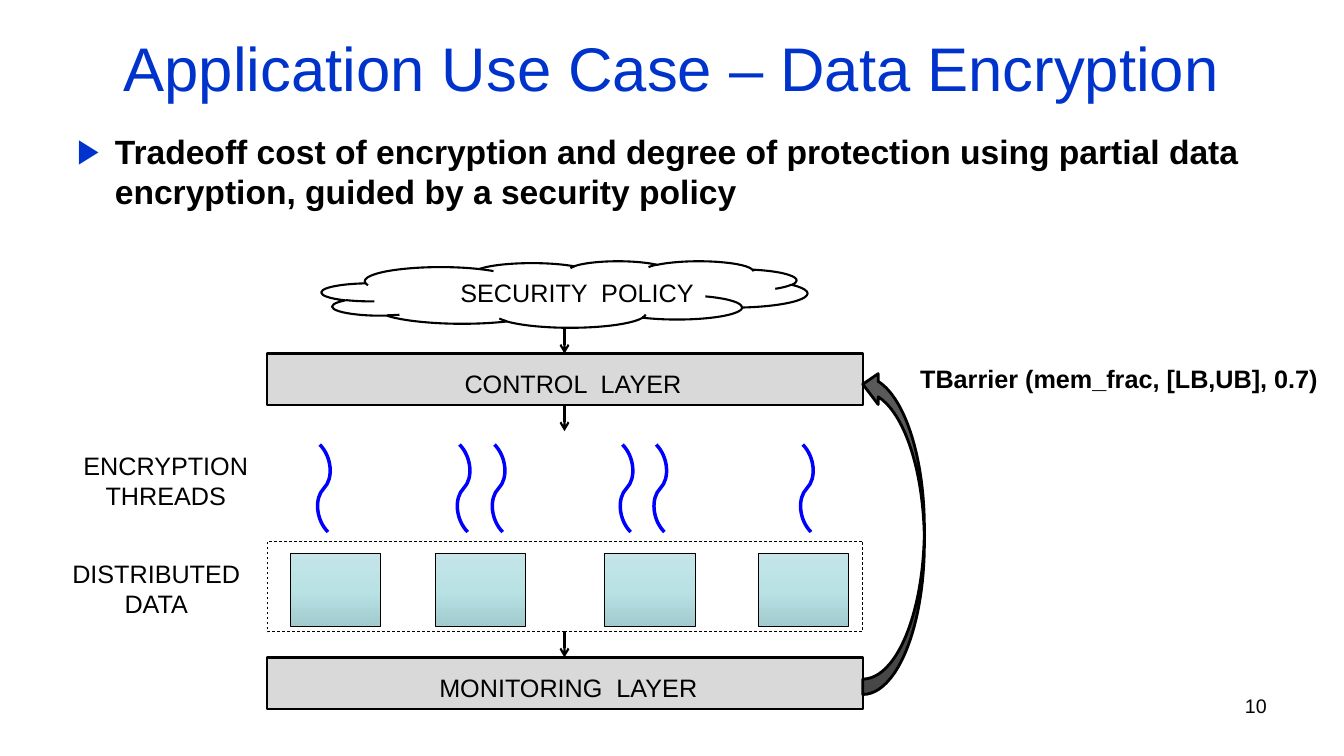
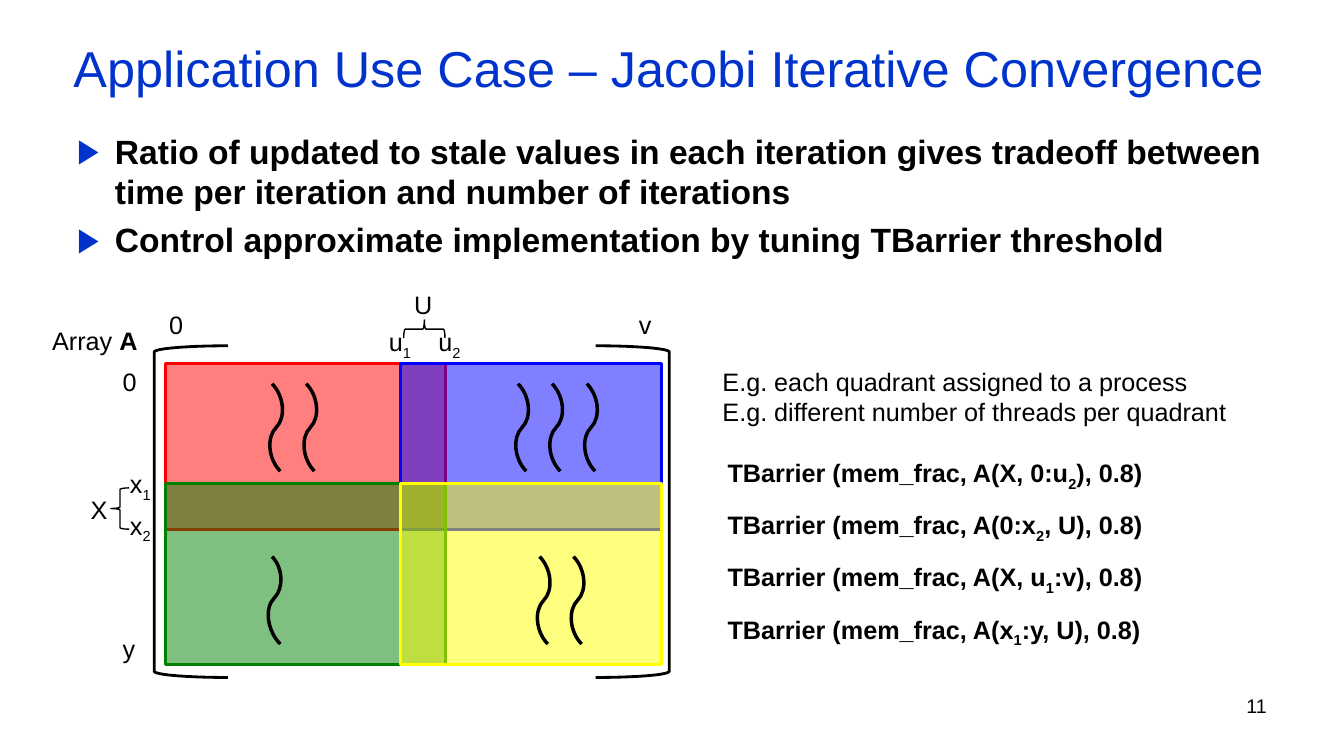
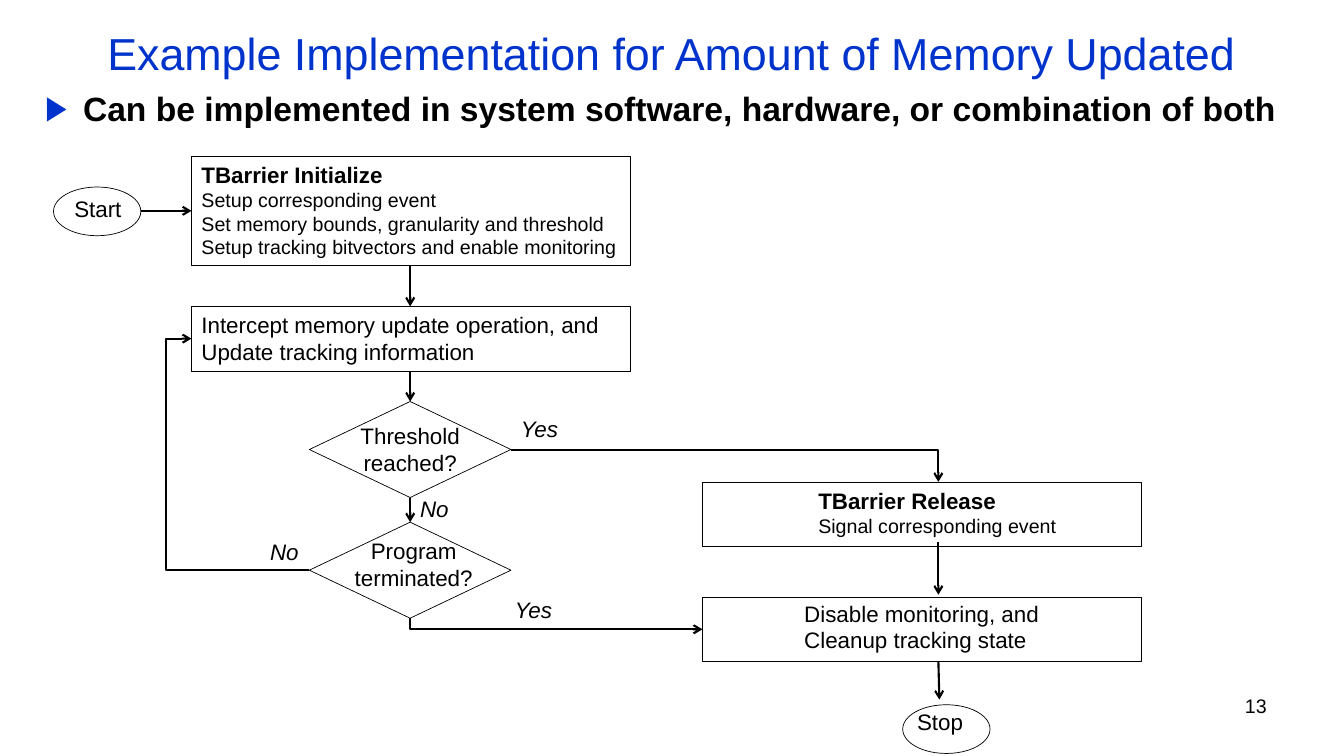
from copy import deepcopy

from lxml.etree import SubElement
from pptx import Presentation
from pptx.dml.color import RGBColor
from pptx.enum.dml import MSO_LINE
from pptx.enum.shapes import MSO_CONNECTOR as LINK, MSO_SHAPE as SHAPE
from pptx.enum.text import MSO_ANCHOR as ANCHOR, MSO_AUTO_SIZE as AUTOSIZE, PP_ALIGN as ALIGN
from pptx.oxml.ns import qn
from pptx.util import Pt

COLORS = {
    "title": "0033CC", "text": "000000", "line": "000000", "layer": "D9D9D9",
    "thread": "0000FF", "feedback": "595959", "red": "FF0000",
    "blue": "0000FF", "green": "008000", "yellow": "FFFF00",
}
DATA_STOPS = ((0, "C5E5E8"), (0.5, "B9E2E5"), (1, "A1CBCE"))
FONT = "Arial"
BOLD = {"bold": True}
ITALIC = {"italic": True}
THREAD_SIZE = (48.3, 40)


def rgb(name):
    return RGBColor.from_string(COLORS.get(name, name))


def apply(target, values):
    for name, value in values.items():
        setattr(target, name, value)


def add_run(paragraph, text, size, color="text", baseline=0, **font):
    run = paragraph.add_run()
    run.text = text
    apply(run.font, {"name": FONT, "size": Pt(size), **font})
    run.font.color.rgb = rgb(color)
    if baseline:
        run.font._element.set("baseline", str(baseline))


def sub(text):
    return text, {"baseline": -25000}


def add_text(slide, box, paragraphs, size=18, align=ALIGN.LEFT, frame=None, spacing=None, **font):
    shape = slide.shapes.add_textbox(*map(Pt, box))
    text_frame = shape.text_frame
    apply(text_frame, frame or {"word_wrap": False, "auto_size": AUTOSIZE.SHAPE_TO_FIT_TEXT})
    for index, runs in enumerate(paragraphs):
        paragraph = text_frame.paragraphs[0] if index == 0 else text_frame.add_paragraph()
        apply(paragraph, {"alignment": align, **(spacing or {})})
        for run in [runs] if isinstance(runs, (str, tuple)) else runs:
            text, changes = (run, {}) if isinstance(run, str) else run
            add_run(paragraph, text, **{"size": size, **font, **changes})
    return shape


def add_bullets(slide, box, paragraphs):
    shape = add_text(slide, box, paragraphs, 24, frame={"word_wrap": True},
                     spacing={"space_before": Pt(5.5)}, **BOLD)
    for paragraph in shape.text_frame.paragraphs:
        properties = paragraph._p.get_or_add_pPr()
        apply_attributes(properties, marL=Pt(27), indent=-Pt(27))
        color = SubElement(properties, qn("a:buClr"))
        SubElement(color, qn("a:srgbClr")).set("val", COLORS["title"])
        SubElement(properties, qn("a:buFont")).set("typeface", FONT)
        SubElement(properties, qn("a:buChar")).set("char", "▶")


def apply_attributes(element, **values):
    for name, value in values.items():
        element.set(name, str(value))


def add_slide(presentation, title, title_size, title_box, number, bullets, bullet_box):
    slide = presentation.slides.add_slide(presentation.slide_layouts[6])
    add_text(slide, title_box, [title], title_size, ALIGN.CENTER, color="title",
             frame={"word_wrap": True, "vertical_anchor": ANCHOR.MIDDLE})
    add_bullets(slide, bullet_box, bullets)
    add_text(slide, (688, 492, 224, 37.5), [number], 14, ALIGN.RIGHT, frame={"word_wrap": True})
    return slide


def add_figure(slide, kind, box, width, fill=None, line="line", rotation=0, flip=None, alpha=None):
    shape = slide.shapes.add_shape(kind, *map(Pt, box))
    shape.shadow.inherit = False
    shape.rotation = rotation
    shape.line.width = Pt(width)
    shape.line.color.rgb = rgb(line)
    if fill:
        shape.fill.solid()
        shape.fill.fore_color.rgb = rgb(fill)
    else:
        shape.fill.background()
    if alpha:
        color = shape._element.spPr.find(qn("a:solidFill"))[0]
        SubElement(color, qn("a:alpha")).set("val", str(alpha))
    if flip:
        shape._element.spPr.xfrm.set(flip, "1")
    return shape


def add_data_block(slide, left):
    shape = add_figure(slide, SHAPE.RECTANGLE, (left, 395.3, 64.4, 51.8), 0.5)
    shape.fill.gradient()
    shape.fill.gradient_angle = 270
    stops = shape._element.spPr.find(".//" + qn("a:gsLst"))
    stops.insert(1, deepcopy(stops[0]))
    for stop, (position, color) in zip(shape.fill.gradient_stops, DATA_STOPS):
        stop.position = position
        stop.color.rgb = rgb(color)


def add_link(slide, start, end, kind=LINK.STRAIGHT, width=1.5, color="line", arrow=True,
             preset=None, rotation=0, bend=None):
    link = slide.shapes.add_connector(kind, *map(Pt, (*start, *end)))
    link.line.width = Pt(width)
    link.line.color.rgb = rgb(color)
    properties = link._element.spPr
    geometry = properties.find(qn("a:prstGeom"))
    if preset:
        geometry.set("prst", preset)
    if bend:
        guide = SubElement(geometry.find(qn("a:avLst")), qn("a:gd"))
        apply_attributes(guide, name="adj1", fmla=f"val {bend}")
    if rotation:
        properties.xfrm.set("rot", str(rotation * 60000))
    if arrow:
        SubElement(properties.find(qn("a:ln")), qn("a:tailEnd")).set("type", "arrow")
    SubElement(properties, qn("a:effectLst"))


def add_thread(slide, left, top, color="line", bend=None):
    width, height = THREAD_SIZE
    add_link(slide, (left, top), (left + width, top + height), LINK.CURVE, 2.5, color,
             arrow=False, rotation=225, bend=bend)


def add_encryption(presentation):
    slide = add_slide(
        presentation, "Application Use Case – Data Encryption", 44, (48, 12, 864, 72), "10",
        ["Tradeoff cost of encryption and degree of protection using partial data "
         "encryption, guided by a security policy"], (48, 90, 864, 75.6))
    for left in (207.4, 311.2, 432, 541.6):
        add_data_block(slide, left)
    for left in (207.2, 307, 332, 423.4, 447.5, 552.2):
        add_thread(slide, left, 328.8, "thread")
    for top in (252.5, 469.7):
        add_figure(slide, SHAPE.RECTANGLE, (190.8, top, 425.5, 36.8), 1.5, "layer")
    add_figure(slide, SHAPE.CLOUD, (229.7, 186.5, 347, 47.5), 1.5)
    for text, left, top, width in (
        ("SECURITY  POLICY", 321.8, 194.5, 182.9),
        ("CONTROL  LAYER", 324.7, 259.3, 171.4),
        ("MONITORING  LAYER", 306.7, 476.6, 200.9),
    ):
        add_text(slide, (left, top, width, 29), [text])
    add_text(slide, (43.9, 395.3, 135.4, 51), ["DISTRIBUTED", "DATA"], align=ALIGN.CENTER)
    add_text(slide, (51.8, 318.2, 133.2, 51), ["ENCRYPTION", "THREADS"], align=ALIGN.CENTER)
    add_figure(slide, SHAPE.CURVED_LEFT_ARROW, (616.3, 263.5, 44, 232.6), 2, "feedback",
               flip="flipV")
    for top in (234, 289.4, 451):
        add_link(slide, (403.2, top), (403.2, top + 18.6))
    data_frame = add_figure(slide, SHAPE.RECTANGLE, (190.8, 386.6, 425.5, 64.6), 0.5)
    data_frame.line.dash_style = MSO_LINE.DASH
    add_text(slide, (650.2, 256.3, 311.8, 29), ["TBarrier (mem_frac, [LB,UB], 0.7)"], **BOLD)


def add_jacobi(presentation):
    slide = add_slide(
        presentation, "Application Use Case – Jacobi Iterative Convergence", 36,
        (33.1, 12, 889.2, 72), "11",
        ["Ratio of updated to stale values in each iteration gives tradeoff between "
         "time per iteration and number of iterations",
         "Control approximate implementation by tuning TBarrier threshold"],
        (48, 90, 874, 110.2))
    for left, flip in ((110.2, None), (425.5, "flipH")):
        add_figure(slide, SHAPE.LEFT_BRACKET, (left, 247, 52.6, 236.9), 2, flip=flip)
    for left, top, width, runs in (
        (288.7, 203, 27.4, "U"),
        (80.6, 448.6, 24.5, "y"),
        (449.3, 217.4, 25.9, "v"),
        (57.6, 349.2, 26.6, "X"),
        (80.6, 257.8, 24.5, "0"),
        (113.8, 217.4, 24.5, "0"),
        (30.2, 229, 77, ["Array ", ("A", BOLD)]),
        (85.7, 331.2, 30.2, ["x", sub("1")]),
        (85.7, 360.7, 30.2, ["x", sub("2")]),
        (270.7, 229.7, 31.7, ["u", sub("1")]),
        (306, 229.7, 31.7, ["u", sub("2")]),
    ):
        add_text(slide, (left, top, width, 29), [runs])
    columns = ((118.4, 200), (285.8, 186.5))
    rows = ((259.4, 118.8), (345.6, 128.9))
    quadrants = (("red", "blue"), ("green", "yellow"))
    for (top, height), colors in zip(rows, quadrants):
        for (left, width), color in zip(columns, colors):
            add_figure(slide, SHAPE.RECTANGLE, (left, top, width, height), 2, color, color,
                       alpha=50000)
    for left in (173.1, 197.5, 348.8, 373.1, 398):
        add_thread(slide, left, 285.3)
    add_thread(slide, 173.1, 408.8, bend=54300)
    for left in (364.2, 388.4):
        add_thread(slide, left, 408.8)
    add_text(slide, (509, 257.8, 378, 51), ["E.g. each quadrant assigned to a process",
                                           "E.g. different number of threads per quadrant"])
    barriers = (("A(X, 0:u", "2", "), 0.8)"), ("A(0:x", "2", ", U), 0.8)"),
                ("A(X, u", "1", ":v), 0.8)"), ("A(x", "1", ":y, U), 0.8)"))
    for index, (before, number, after) in enumerate(barriers):
        add_text(slide, (512.6, 323.3 + 37.2 * index, 318.2, 29),
                 [["TBarrier (mem_frac, " + before, sub(number), after]], **BOLD)
    for left, top, rotation in ((296.6, 220.3, 90), (79.2, 348.5, 0)):
        add_figure(slide, SHAPE.LEFT_BRACE, (left, top, 13, 29.5), 1, rotation=rotation)


def add_flowchart(presentation):
    slide = add_slide(
        presentation, "Example Implementation for Amount of Memory Updated", 32,
        (48, 1.4, 864, 72), "13",
        ["Can be implemented in system software, hardware, or combination of both"],
        (25.2, 59, 913.7, 41.8))
    detail = {"size": 14}
    heading = {"bold": True}
    for box, align, paragraphs in (
        ((136.8, 111.6, 313.2, 77.8), ALIGN.LEFT,
         [("TBarrier Initialize", heading), ("Setup corresponding event", detail),
          ("Set memory bounds, granularity and threshold", detail),
          ("Setup tracking bitvectors and enable monitoring", detail)]),
        ((136.8, 218.9, 301.7, 46), ALIGN.LEFT,
         ["Intercept memory update operation, and", "Update tracking information"]),
        ((249.8, 298.1, 86.4, 46), ALIGN.CENTER, ["Threshold", "reached?"]),
        ((245.5, 380.2, 100, 46), ALIGN.CENTER, ["Program", "terminated?"]),
        ((577.4, 344.2, 186.5, 43.9), ALIGN.LEFT,
         [("TBarrier Release", heading), ("Signal corresponding event", detail)]),
        ((567.4, 424.8, 184.3, 46), ALIGN.LEFT,
         ["Disable monitoring, and", "Cleanup tracking state"]),
        ((46, 136, 49, 26.6), ALIGN.LEFT, ["Start"]),
        ((648, 502.6, 47.5, 26.6), ALIGN.LEFT, ["Stop"]),
    ):
        add_text(slide, box, paragraphs, 16, align)
    for left, top in ((38.2, 133.6), (644.8, 503.4)):
        add_figure(slide, SHAPE.FLOWCHART_CONNECTOR, (left, top, 62.4, 34.8), 0.5)
    for left, top, height in ((136.8, 111.6, 77.8), (136.8, 218.9, 46),
                              (501.8, 344.2, 46), (501.8, 426.4, 46)):
        add_figure(slide, SHAPE.FLOWCHART_PROCESS, (left, top, 313.2, height), 0.5)
    for top in (286.8, 373):
        add_figure(slide, SHAPE.FLOWCHART_DECISION, (221, 0 + top, 144, 68.6), 0.5)
    for start, end in (
        ((100.4, 150.6), (136.8, 150.6)),
        ((293, 189.4), (293, 218.9)),
        ((293, 264.9), (293, 286.8)),
        ((293, 355.4), (293, 373)),
        ((670.3, 387.4), (670.3, 424.8)),
        ((670.3, 472.3), (671, 499.7)),
    ):
        add_link(slide, start, end)
    add_link(slide, (365, 321.1), (670.3, 344.2), LINK.ELBOW, preset="bentConnector2")
    add_link(slide, (221, 407.2), (136.8, 241.9), LINK.ELBOW, bend=121400)
    add_link(slide, (401.3, 341.2), (393.5, 550), LINK.ELBOW, preset="bentConnector2",
             rotation=270)
    for text, left, top in (("Yes", 365, 293), ("Yes", 360.7, 422),
                            ("No", 293, 350), ("No", 185.8, 380.9)):
        width = 45.4 if text == "Yes" else 38.9
        add_text(slide, (left, top, width, 26.6), [text], 16, **ITALIC)


def main():
    presentation = Presentation()
    apply(presentation, {"slide_width": Pt(960), "slide_height": Pt(540)})
    add_encryption(presentation)
    add_jacobi(presentation)
    add_flowchart(presentation)
    presentation.save("out.pptx")


main()
